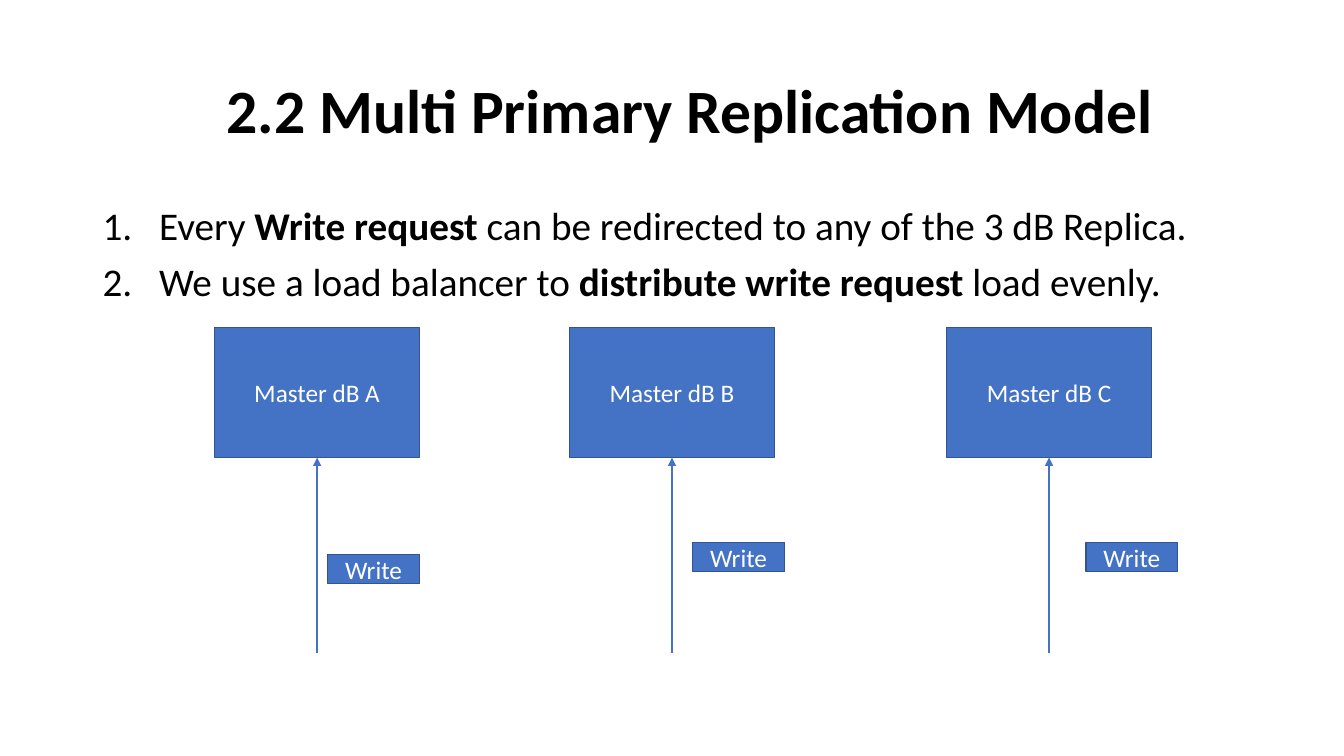
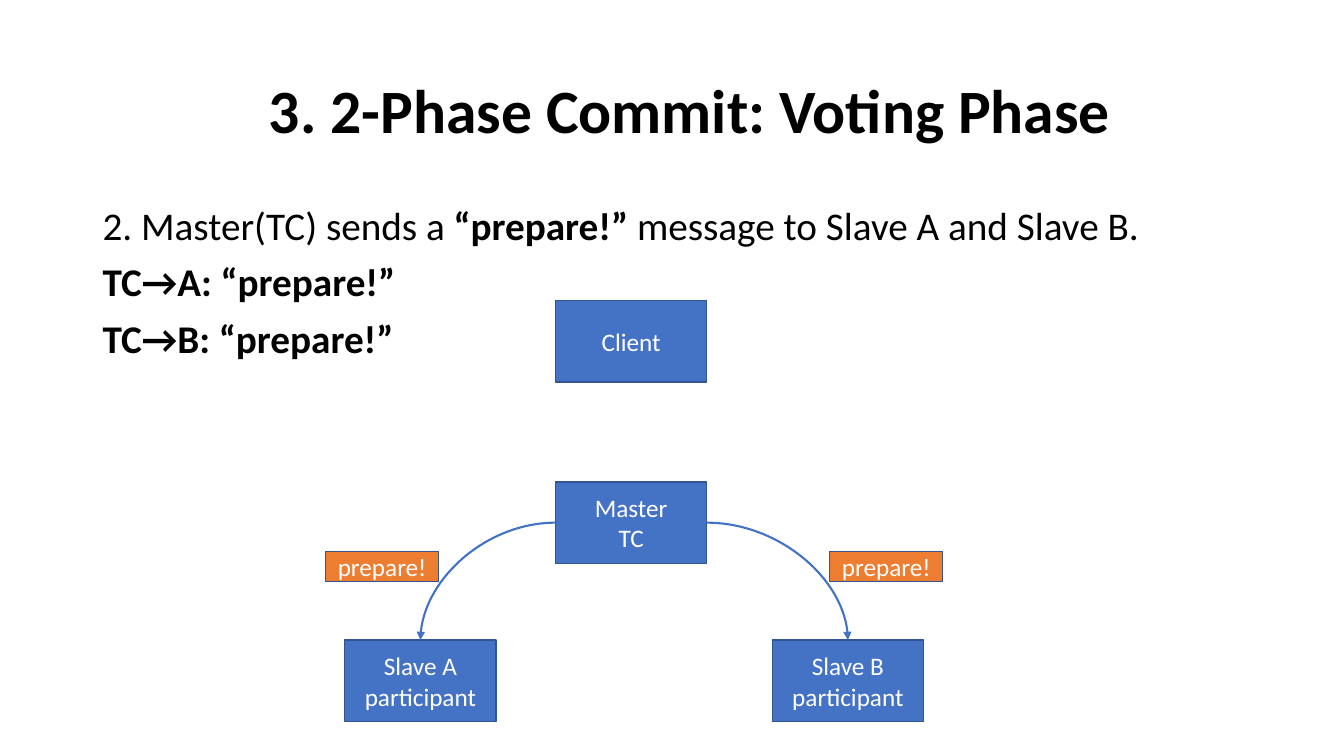
"""Build two slides on database replication and two-phase commit."""
from lxml import etree
from pptx import Presentation
from pptx.dml.color import RGBColor
from pptx.enum.shapes import MSO_CONNECTOR, MSO_SHAPE
from pptx.enum.text import MSO_ANCHOR, MSO_AUTO_SIZE, PP_ALIGN
from pptx.oxml.ns import qn
from pptx.util import Inches, Pt

RECT = MSO_SHAPE.RECTANGLE
STRAIGHT, CURVE = MSO_CONNECTOR.STRAIGHT, MSO_CONNECTOR.CURVE
LEFT, CENTER = PP_ALIGN.LEFT, PP_ALIGN.CENTER
TOP, MIDDLE = MSO_ANCHOR.TOP, MSO_ANCHOR.MIDDLE
NO_FIT = MSO_AUTO_SIZE.NONE

FONT = "Calibri"
COLORS = {"text": "000000", "white": "FFFFFF", "blue": "4472C4",
          "edge": "325491", "orange": "ED7D31"}

REPLICATION_TITLE = "2.2 Multi Primary Replication Model"
REPLICATION_BODY = [
    [("Every ", False), ("Write request ", True),
     ("can be redirected to any of the 3 dB Replica.", False)],
    [("We use a load balancer to ", False), ("distribute write request ", True),
     ("load evenly.", False)],
]
MASTERS = [("Master dB A", 2.13, (3.25, 5.5)),
           ("Master dB B", 5.65, (6.87, 5.38)),
           ("Master dB C", 9.39, (10.77, 5.38))]
MASTER_TOP, MASTER_W, MASTER_H = 3.25, 2.03, 1.29
WRITE_W, WRITE_H = 0.91, 0.29
ARROW_START_Y = 6.48

VOTING_TITLE = "3. 2-Phase Commit: Voting Phase"
VOTING_BODY = [
    [("2. Master(TC) sends a ", False), ("“prepare!” ", True),
     ("message to Slave A and Slave B.", False)],
    [("TC→A: “prepare!”", True)],
    [("TC→B: “prepare!”", True)],
]
NODE_W, NODE_H = 1.5, 0.81
CENTER_X = 5.51
CLIENT_Y, COORDINATOR_Y, SLAVE_Y = 2.98, 4.78, 6.35
SLAVES = [("Slave A\nparticipant", 3.42, 1, 3.23),
          ("Slave B\nparticipant", 7.66, 3, 8.23)]
PREPARE_Y, PREPARE_W, PREPARE_H = 5.47, 1.12, 0.3


def rgb(name):
    return RGBColor.from_string(COLORS[name])


def write(tf, paragraphs, size=18, color="white", align=CENTER, anchor=MIDDLE,
          spacing=1.0, before=0, numbered=False):
    tf.word_wrap = True
    tf.auto_size = NO_FIT
    tf.vertical_anchor = anchor
    for i, runs in enumerate(paragraphs):
        p = tf.add_paragraph() if i else tf.paragraphs[0]
        if numbered:
            pPr = p._p.get_or_add_pPr()
            pPr.set("marL", str(Inches(0.56)))
            pPr.set("indent", str(-Inches(0.56)))
            etree.SubElement(pPr, qn("a:buAutoNum"), type="arabicPeriod")
        p.alignment = align
        p.line_spacing = spacing
        p.space_before = Pt(before if i else 0)
        for text, bold in runs:
            r = p.add_run()
            r.text = text
            r.font.name, r.font.size, r.font.bold = FONT, Pt(size), bold
            r.font.color.rgb = rgb(color)


def add_slide(prs, title, body, numbered=False):
    s = prs.slides.add_slide(prs.slide_layouts[5])
    sp = s.shapes.title
    sp.left, sp.top, sp.width, sp.height = map(Inches, (0.92, 0.4, 11.5, 1.45))
    sp.text_frame.margin_left = Inches(0.45)
    write(sp.text_frame, [[(title, True)]], size=44, color="text", spacing=0.9)
    box = s.shapes.add_textbox(*map(Inches, (0.92, 2, 11.5, 4.76)))
    write(box.text_frame, body, size=28, color="text", align=LEFT, anchor=TOP,
          spacing=0.9, before=10, numbered=numbered)
    return s


def add_box(s, text, x, y, w, h, fill="blue"):
    sp = s.shapes.add_shape(RECT, *map(Inches, (x, y, w, h)))
    sp.shadow.inherit = False
    sp.fill.solid()
    sp.fill.fore_color.rgb = rgb(fill)
    sp.line.color.rgb = rgb("edge")
    sp.line.width = Pt(1)
    write(sp.text_frame, [[(line, False)] for line in text.split("\n")])
    return sp


def add_arrow(s, kind, x1, y1, x2, y2):
    arrow = s.shapes.add_connector(kind, *map(Inches, (x1, y1, x2, y2)))
    arrow.line.color.rgb = rgb("blue")
    arrow.line.width = Pt(1.5)
    etree.SubElement(arrow.line._get_or_add_ln(), qn("a:tailEnd"), type="triangle")
    spPr = arrow._element.spPr
    etree.SubElement(spPr, qn("a:effectLst"))
    if kind == CURVE:
        spPr.find(qn("a:prstGeom")).set("prst", "curvedConnector2")
    return arrow


def build_replication(prs):
    s = add_slide(prs, REPLICATION_TITLE, REPLICATION_BODY, numbered=True)
    for name, x, (write_x, write_y) in MASTERS:
        master = add_box(s, name, x, MASTER_TOP, MASTER_W, MASTER_H)
        mid = x + MASTER_W / 2
        arrow = add_arrow(s, STRAIGHT, mid, ARROW_START_Y, mid, MASTER_TOP + MASTER_H)
        arrow.end_connect(master, 2)
        add_box(s, "Write", write_x, write_y, WRITE_W, WRITE_H)


def build_voting(prs):
    s = add_slide(prs, VOTING_TITLE, VOTING_BODY)
    add_box(s, "Client", CENTER_X, CLIENT_Y, NODE_W, NODE_H)
    coordinator = add_box(s, "Master\nTC", CENTER_X, COORDINATOR_Y, NODE_W, NODE_H)
    for name, x, side, prepare_x in SLAVES:
        slave = add_box(s, name, x, SLAVE_Y, NODE_W, NODE_H)
        start_x = CENTER_X if side == 1 else CENTER_X + NODE_W
        arrow = add_arrow(s, CURVE, start_x, COORDINATOR_Y + NODE_H / 2,
                          x + NODE_W / 2, SLAVE_Y)
        arrow.begin_connect(coordinator, side)
        arrow.end_connect(slave, 0)
        add_box(s, "prepare!", prepare_x, PREPARE_Y, PREPARE_W, PREPARE_H, fill="orange")


def main():
    prs = Presentation()
    prs.slide_width, prs.slide_height = Inches(13.33), Inches(7.5)
    build_replication(prs)
    build_voting(prs)
    prs.save("out.pptx")


if __name__ == "__main__":
    main()
